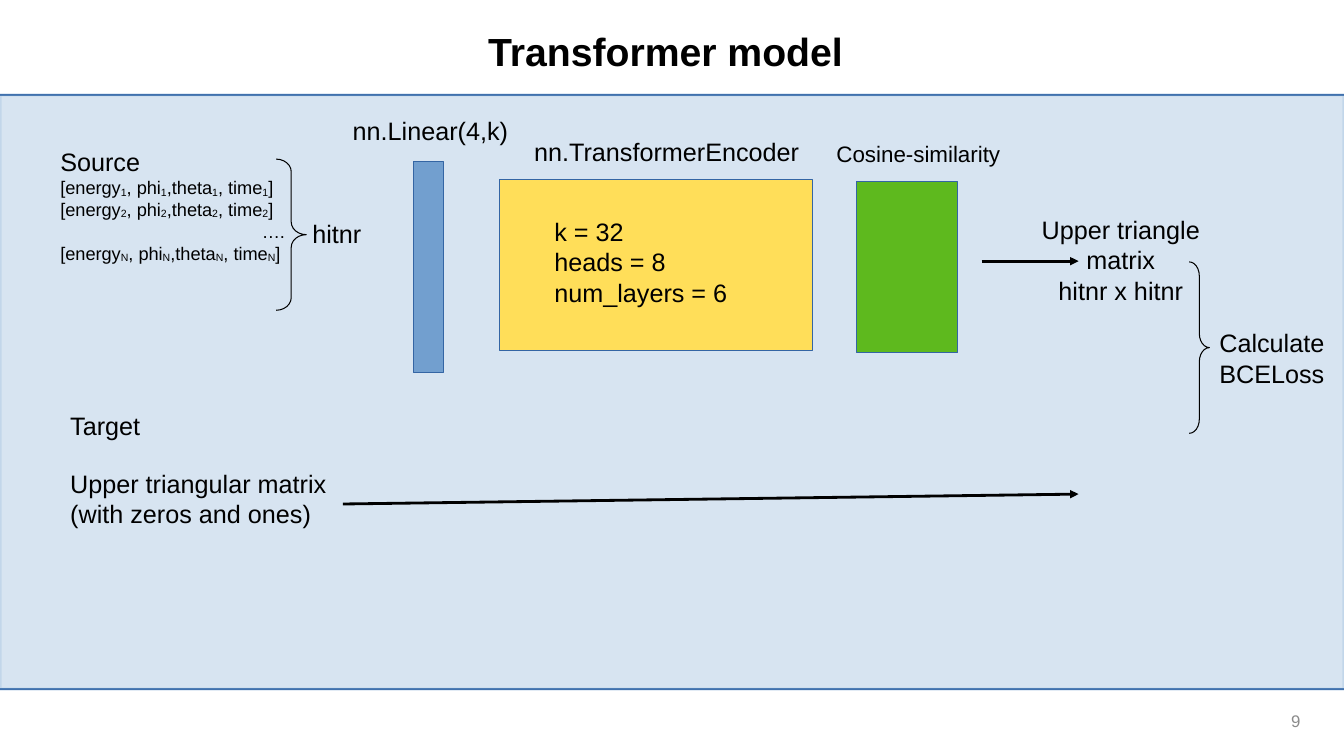
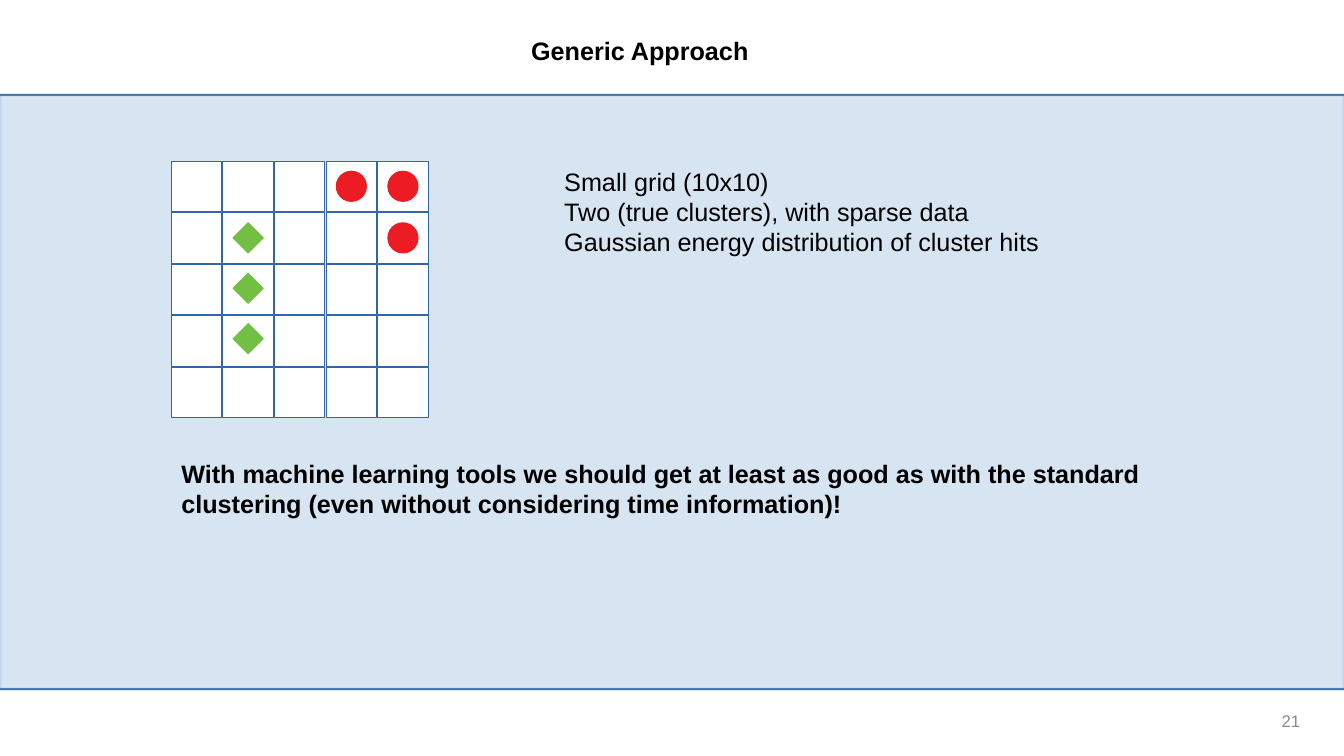
"""Build two slides on a transformer model and a generic clustering approach."""
from lxml.etree import SubElement
from pptx import Presentation
from pptx.dml.color import RGBColor
from pptx.enum.shapes import MSO_CONNECTOR, MSO_SHAPE as SHAPE
from pptx.enum.text import MSO_ANCHOR as ANCHOR, PP_ALIGN as ALIGN
from pptx.oxml.ns import qn
from pptx.util import Cm, Pt

FONT = "Arial"
BLACK, WHITE, GREY = "000000", "FFFFFF", "8B8B8B"
BLUE, NAVY, YELLOW = "729FCF", "3465A4", "FFDE59"
GREEN, LEAF, RED = "5EB91E", "72BF44", "ED1C24"
WIDTH, HEIGHT = 33.87, 19.05
BAND_TOP, BAND_BOTTOM = 2.39, 17.37


def rgb(color):
    """Turn a hex string into a colour."""
    return RGBColor.from_string(color)


def set_alpha(fill, percent):
    """Make a solid fill partly transparent."""
    node = fill._xPr.find(qn("a:solidFill"))[0]
    SubElement(node, qn("a:alpha"), val=str(percent * 1000))


def add_run(p, text, size=18, bold=False, color=BLACK, sub=False):
    """Append a formatted run to a paragraph."""
    r = p.add_run()
    r.text = text
    r.font.name, r.font.size, r.font.bold = FONT, Pt(size), bold
    r.font.color.rgb = rgb(color)
    if sub:
        r.font._element.set("baseline", "-8000")


def add_text(s, x, y, w, h, text, align=ALIGN.LEFT, anchor=ANCHOR.TOP, **fmt):
    """Add a text box with one paragraph per line of text."""
    tf = s.shapes.add_textbox(Cm(x), Cm(y), Cm(w), Cm(h)).text_frame
    tf.word_wrap, tf.vertical_anchor = True, anchor
    for i, line in enumerate(text.split("\n")):
        p = tf.add_paragraph() if i else tf.paragraphs[0]
        p.alignment = align
        add_run(p, line, **fmt)
    return tf


def add_hit(tf, index):
    """Append one indexed feature vector."""
    p = tf.add_paragraph()
    for name in ("[energy", ", phi", ",theta", ", time"):
        add_run(p, name, size=13)
        add_run(p, index, size=13, sub=True)
    add_run(p, "]", size=13)


def add_shape(parent, kind, x, y, w, h, fill=None, line=NAVY, weight=0):
    """Add a preset shape to a slide or a group."""
    sp = parent.shapes.add_shape(kind, Cm(x), Cm(y), Cm(w), Cm(h))
    sp.shadow.inherit = False
    if fill:
        sp.fill.solid()
        sp.fill.fore_color.rgb = rgb(fill)
    else:
        sp.fill.background()
    sp.line.color.rgb = rgb(line)
    sp.line.width = Pt(weight)
    return sp


def add_brace(s, x, y, w, h, curve):
    """Add a right brace with the given corner curve."""
    sp = add_shape(s, SHAPE.RIGHT_BRACE, x, y, w, h, line=BLACK)
    sp.adjustments[0] = curve


def add_line(s, x1, y1, x2, y2, color=BLACK, weight=0, arrow=False):
    """Add a straight line, with an arrowhead if asked."""
    c = s.shapes.add_connector(MSO_CONNECTOR.STRAIGHT, Cm(x1), Cm(y1), Cm(x2), Cm(y2))
    c.line.color.rgb = rgb(color)
    c.line.width = Pt(weight)
    if arrow:
        SubElement(c.line._get_or_add_ln(), qn("a:tailEnd"), type="triangle")
    SubElement(c._element.spPr, qn("a:effectLst"))


def add_slide(prs, number):
    """Add a slide with the shared band, rules and page number."""
    s = prs.slides.add_slide(prs.slide_layouts[6])
    for y in (BAND_BOTTOM, BAND_TOP):
        add_line(s, 0, y, WIDTH, y, NAVY, 1.5)
    band = add_shape(s, SHAPE.RECTANGLE, 0, BAND_TOP, WIDTH, BAND_BOTTOM - BAND_TOP,
                     BLUE, BLUE, 2.3)
    set_alpha(band.fill, 28)
    set_alpha(band.line.fill, 20)
    add_text(s, 25.4, 17.65, 7.62, 1.02, str(number), ALIGN.RIGHT, ANCHOR.MIDDLE,
             size=12, color=GREY)
    return s


def add_title(s, x, y, w, h, text, size):
    """Add a bold centred title."""
    add_text(s, x, y, w, h, text, ALIGN.CENTER, size=size, bold=True)


def add_model_slide(prs):
    """Draw the transformer model pipeline."""
    s = add_slide(prs, 9)
    add_title(s, 6.1, 0.56, 21.34, 1.35, "Transformer model", 28)

    tf = add_text(s, 1.27, 3.56, 9.4, 3.02, "Source")
    add_hit(tf, "1")
    add_hit(tf, "2")
    dots = tf.add_paragraph()
    dots._p.get_or_add_pPr().set("marL", str(Cm(5.08)))
    add_run(dots, "….", size=13)
    add_hit(tf, "N")

    for x, y, w, h, fill in ((10.41, 4.06, 0.76, 5.33, BLUE),
                             (12.6, 4.52, 7.87, 4.32, YELLOW),
                             (21.59, 4.57, 2.54, 4.32, GREEN)):
        add_shape(s, SHAPE.RECTANGLE, x, y, w, h, fill)

    add_text(s, 8.64, 2.79, 7.62, 0.97, "nn.Linear(4,k)")
    add_text(s, 13.21, 3.3, 9.4, 0.97, "nn.TransformerEncoder")
    add_text(s, 13.72, 5.33, 5.59, 2.39, "k = 32\nheads = 8\nnum_layers = 6")
    add_text(s, 20.83, 3.4, 5.08, 0.89, "Cosine-similarity", size=16)
    add_text(s, 7.62, 5.38, 2.29, 0.97, "hitnr")
    add_text(s, 25.45, 5.28, 5.59, 3.1, "Upper triangle matrix\nhitnr x hitnr", ALIGN.CENTER)
    add_text(s, 1.52, 10.21, 3.3, 0.97, "Target")
    add_text(s, 1.52, 11.68, 7.62, 1.68, "Upper triangular matrix\n(with zeros and ones)")
    add_text(s, 30.48, 8.13, 3.56, 3.3, "Calculate BCELoss")

    add_brace(s, 6.96, 4.01, 0.76, 3.81, 0.42)
    add_brace(s, 29.97, 6.6, 0.51, 4.32, 0.7)
    add_line(s, 24.74, 6.58, 27.18, 6.58, arrow=True)
    add_line(s, 8.64, 12.7, 27.18, 12.45, arrow=True)


def add_grid(s, x, y, count=5, cell=1.27, pitch=1.3, mark=0.76):
    """Draw a square grid with two marked clusters."""
    grid = s.shapes.add_group_shape()
    for row in range(count):
        for col in range(count):
            add_shape(grid, SHAPE.RECTANGLE, x + col * pitch, y + row * pitch,
                      cell, cell, WHITE)
    inset = (cell - mark) / 2
    for row, col in ((0, 3), (0, 4), (1, 4)):
        add_shape(grid, SHAPE.OVAL, x + col * pitch + inset, y + row * pitch + inset,
                  mark, mark, RED, RED)
    for i in range(3):
        add_shape(grid, SHAPE.DIAMOND, x + pitch + inset, y + pitch + inset + i * cell,
                  mark, mark, LEAF, LEAF)


def add_approach_slide(prs):
    """Draw the clustering grid and its remarks."""
    s = add_slide(prs, 21)
    add_grid(s, 4.32, 4.06)
    add_title(s, 5.84, 0.76, 20.57, 0.97, "Generic Approach", 18)
    add_text(s, 13.97, 4.06, 17.02, 2.39,
             "Small grid (10x10)\nTwo (true clusters), with sparse data\n"
             "Gaussian energy distribution of cluster hits")
    add_text(s, 4.32, 11.43, 27.69, 1.68,
             "With machine learning tools we should get at least as good as with the "
             "standard clustering (even without considering time information)!", bold=True)


def main():
    """Build and save the presentation."""
    prs = Presentation()
    prs.slide_width, prs.slide_height = Cm(WIDTH), Cm(HEIGHT)
    add_model_slide(prs)
    add_approach_slide(prs)
    prs.save("out.pptx")


if __name__ == "__main__":
    main()
